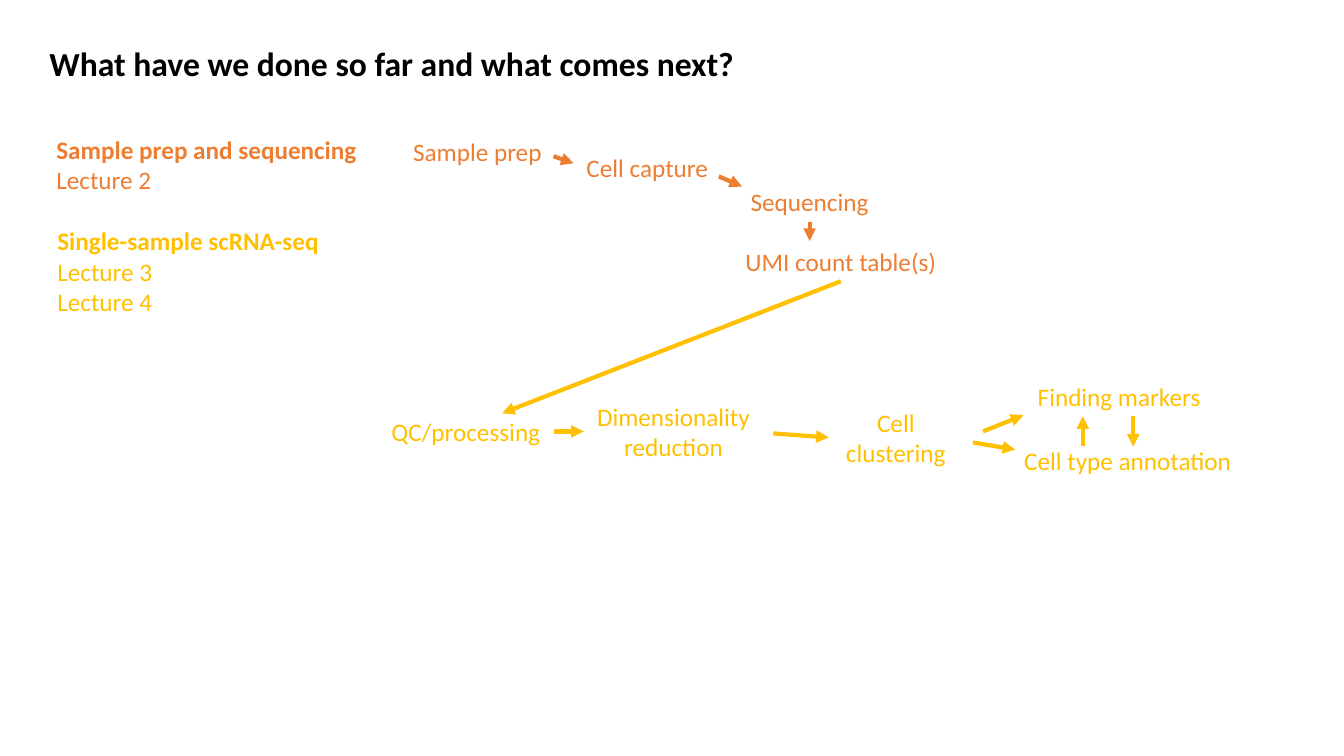
"""Build the slide that recaps the lectures and the analysis steps."""
from dataclasses import dataclass

import pptx
import pptx.dml.color
import pptx.enum.dml
import pptx.enum.shapes
import pptx.enum.text
import pptx.oxml
import pptx.oxml.ns
import pptx.slide
import pptx.text.text
import pptx.util

Inches = pptx.util.Inches
Pt = pptx.util.Pt
RGBColor = pptx.dml.color.RGBColor
Align = pptx.enum.text.PP_ALIGN

ORANGE = RGBColor(0xED, 0x7D, 0x31)
GOLD = RGBColor(0xFF, 0xC0, 0x00)
BLACK = RGBColor(0, 0, 0)
FONT = "Calibri"


@dataclass
class Step:
    text: str
    left: float
    top: float
    width: float
    color: RGBColor
    height: float = 0.4


@dataclass
class Topic:
    lines: list[str]
    left: float
    top: float
    width: float
    height: float
    color: RGBColor


@dataclass
class Arrow:
    start: tuple[float, float]
    end: tuple[float, float]
    color: RGBColor


TOPICS = [
    Topic(["Sample prep and sequencing", "Lecture 2"], 0.46, 1.28, 3.29, 0.71, ORANGE),
    Topic(["Single-sample scRNA-seq", "Lecture 3", "Lecture 4"], 0.47, 2.19, 3.06, 1.01, GOLD),
]

STEPS = [
    Step("Sample prep", 3.67, 1.3, 2.13, ORANGE),
    Step("Cell capture", 5.63, 1.46, 1.58, ORANGE),
    Step("Sequencing", 7.29, 1.8, 1.48, ORANGE),
    Step("UMI count table(s)", 7.25, 2.39, 2.18, ORANGE),
    Step("QC/processing", 3.76, 4.08, 1.72, GOLD),
    Step("Dimensionality reduction", 5.79, 3.93, 1.78, GOLD, 0.71),
    Step("Cell clustering", 8.22, 3.99, 1.33, GOLD, 0.71),
    Step("Finding markers", 10.1, 3.73, 2, GOLD),
    Step("Cell type annotation", 10.03, 4.37, 2.31, GOLD),
]

ARROWS = [
    Arrow((5.49, 1.55), (5.69, 1.62), ORANGE),
    Arrow((7.13, 1.75), (7.36, 1.85), ORANGE),
    Arrow((8.03, 2.2), (8.03, 2.39), ORANGE),
    Arrow((8.34, 2.79), (4.98, 4.1), GOLD),
    Arrow((5.49, 4.28), (5.79, 4.28), GOLD),
    Arrow((7.67, 4.3), (8.22, 4.34), GOLD),
    Arrow((9.75, 4.28), (10.15, 4.12), GOLD),
    Arrow((9.65, 4.39), (10.07, 4.46), GOLD),
    Arrow((10.74, 4.42), (10.74, 4.13), GOLD),
    Arrow((11.24, 4.13), (11.24, 4.43), GOLD),
]


def style(para: pptx.text.text._Paragraph, size: int, color: RGBColor, bold: bool) -> None:
    para.font.name = FONT
    para.font.size = Pt(size)
    para.font.bold = bold
    para.font.color.rgb = color


def add_box(slide: pptx.slide.Slide, item: Step | Topic) -> pptx.text.text.TextFrame:
    box = slide.shapes.add_textbox(
        Inches(item.left), Inches(item.top), Inches(item.width), Inches(item.height))
    box.text_frame.word_wrap = True
    return box.text_frame


def add_step(slide: pptx.slide.Slide, step: Step) -> None:
    frame = add_box(slide, step)
    frame.text = step.text
    para = frame.paragraphs[0]
    para.alignment = Align.CENTER
    style(para, 18, step.color, False)


def add_topic(slide: pptx.slide.Slide, topic: Topic) -> None:
    frame = add_box(slide, topic)
    frame.text = "\n".join(topic.lines)
    for index, para in enumerate(frame.paragraphs):
        style(para, 18, topic.color, index == 0)


def add_arrow(slide: pptx.slide.Slide, arrow: Arrow) -> None:
    ends = [Inches(value) for value in (*arrow.start, *arrow.end)]
    link = slide.shapes.add_connector(pptx.enum.shapes.MSO_CONNECTOR.STRAIGHT, *ends)
    link.line.color.rgb = arrow.color
    link.line.width = Pt(3)
    tail = pptx.oxml.parse_xml(
        f'<a:tailEnd {pptx.oxml.ns.nsdecls("a")} type="triangle"/>')
    link.line._get_or_add_ln().append(tail)
    flat = pptx.oxml.parse_xml(f'<a:effectLst {pptx.oxml.ns.nsdecls("a")}/>')
    link._element.spPr.append(flat)


def add_title(slide: pptx.slide.Slide, text: str) -> None:
    title = slide.shapes.title
    title.left, title.top = Inches(0.39), Inches(0.38)
    title.width, title.height = Inches(8.32), Inches(0.5)
    frame = title.text_frame
    frame.text = text
    frame.word_wrap = True
    frame.vertical_anchor = pptx.enum.text.MSO_ANCHOR.TOP
    para = frame.paragraphs[0]
    para.alignment = Align.LEFT
    style(para, 24, BLACK, True)


def main() -> None:
    deck = pptx.Presentation()
    deck.slide_width = Inches(13.33)
    deck.slide_height = Inches(7.5)
    slide = deck.slides.add_slide(deck.slide_layouts.get_by_name("Title Only"))
    add_title(slide, "What have we done so far and what comes next?")
    for topic in TOPICS:
        add_topic(slide, topic)
    for step in STEPS:
        add_step(slide, step)
    for arrow in ARROWS:
        add_arrow(slide, arrow)
    deck.save("out.pptx")


if __name__ == "__main__":
    main()
